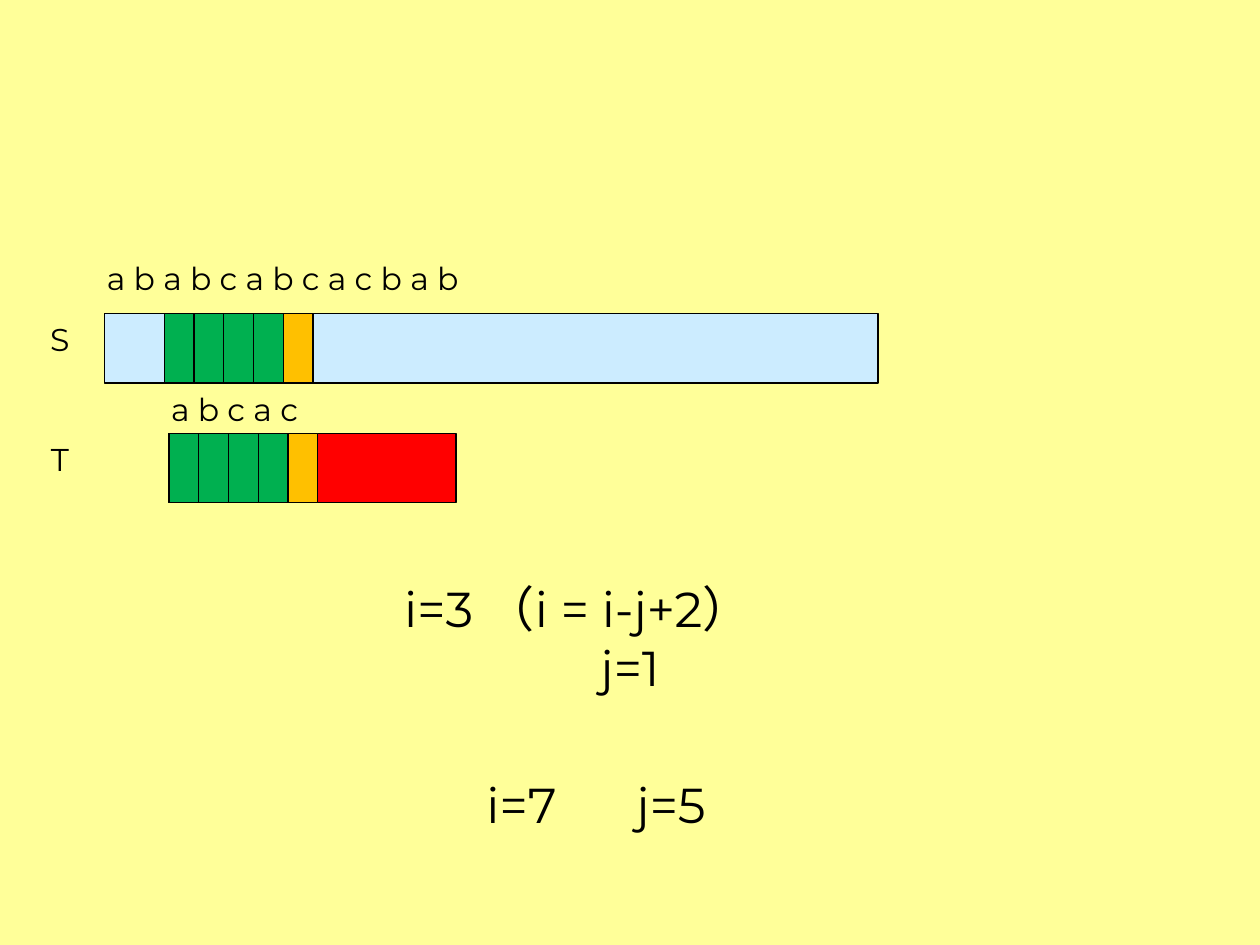
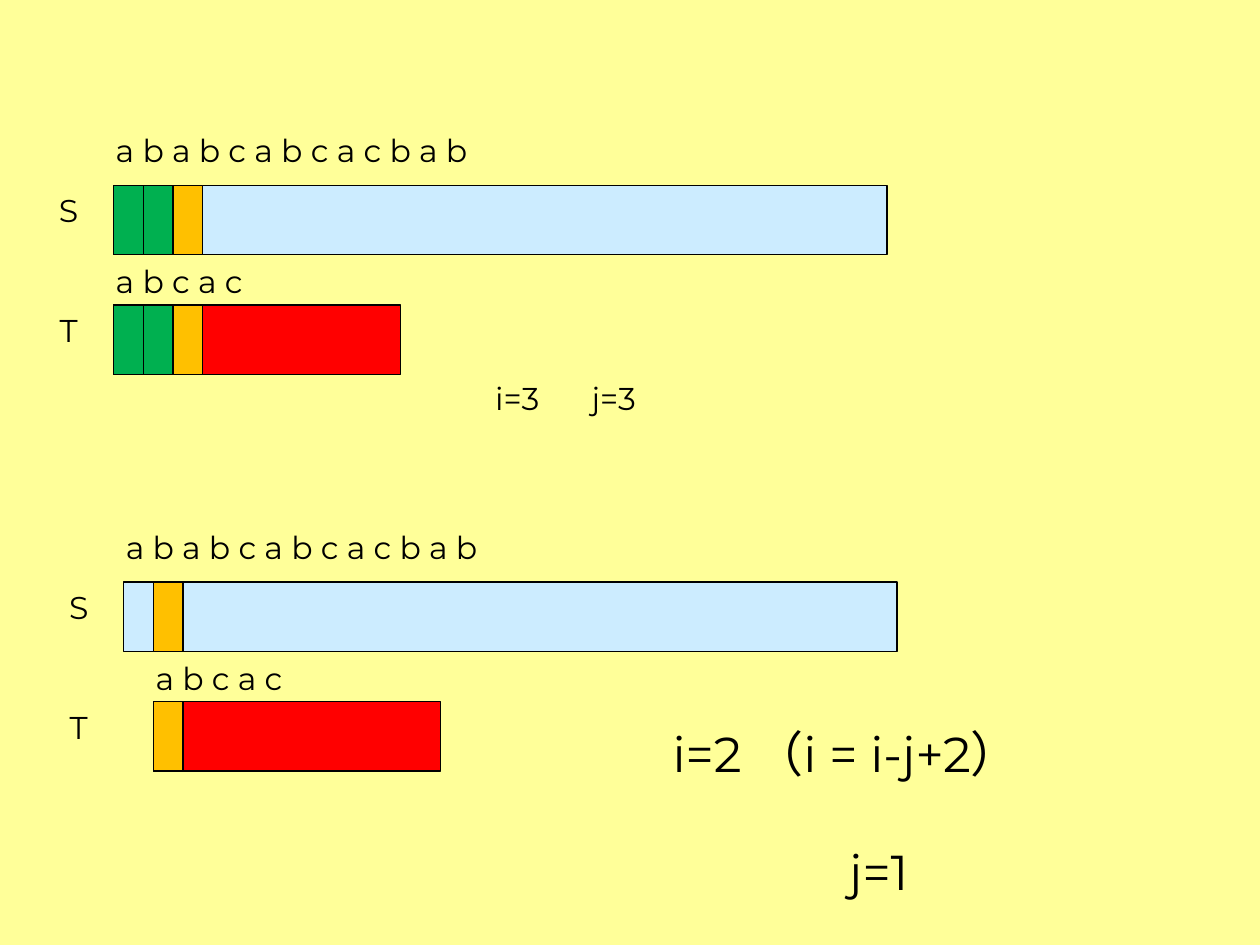
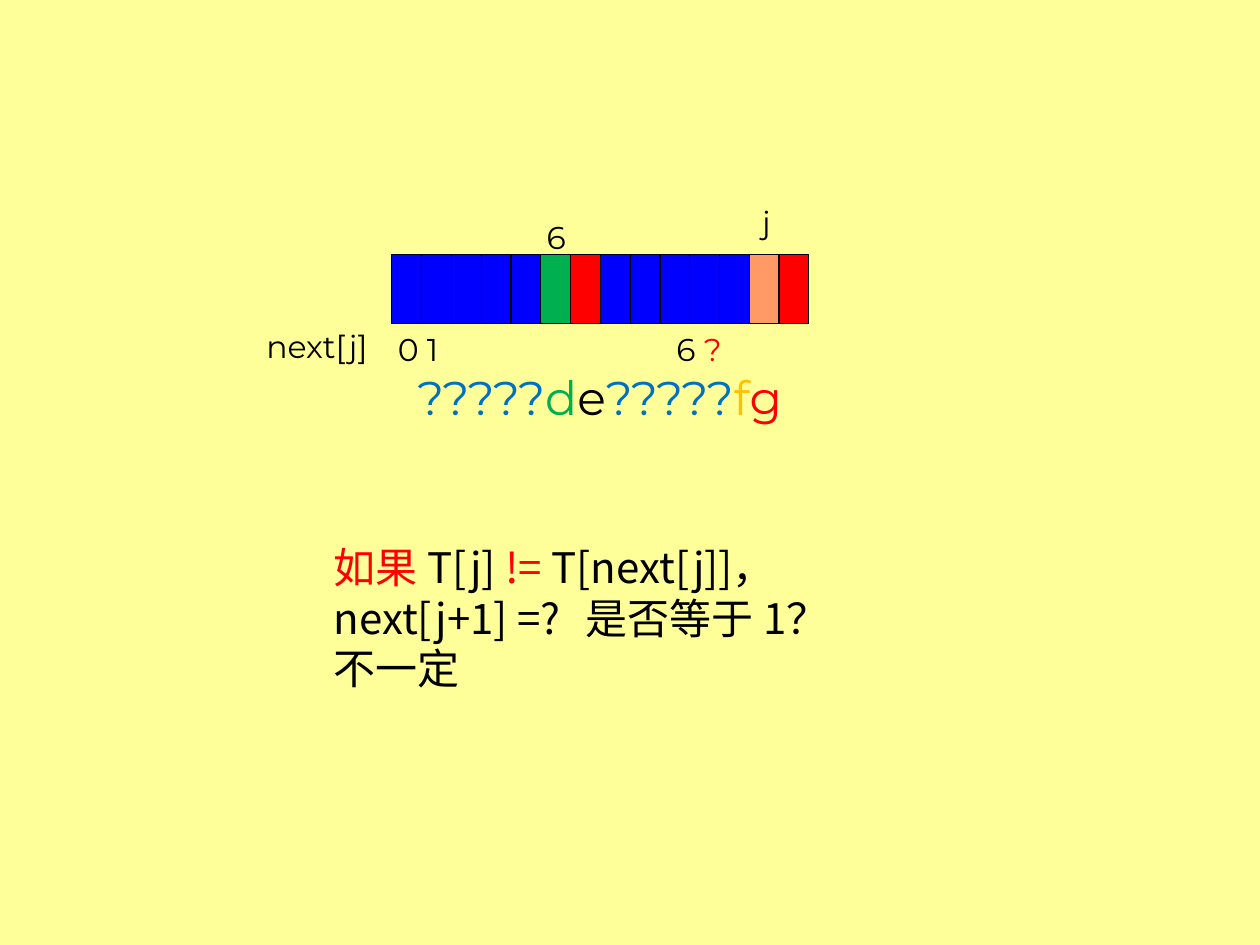
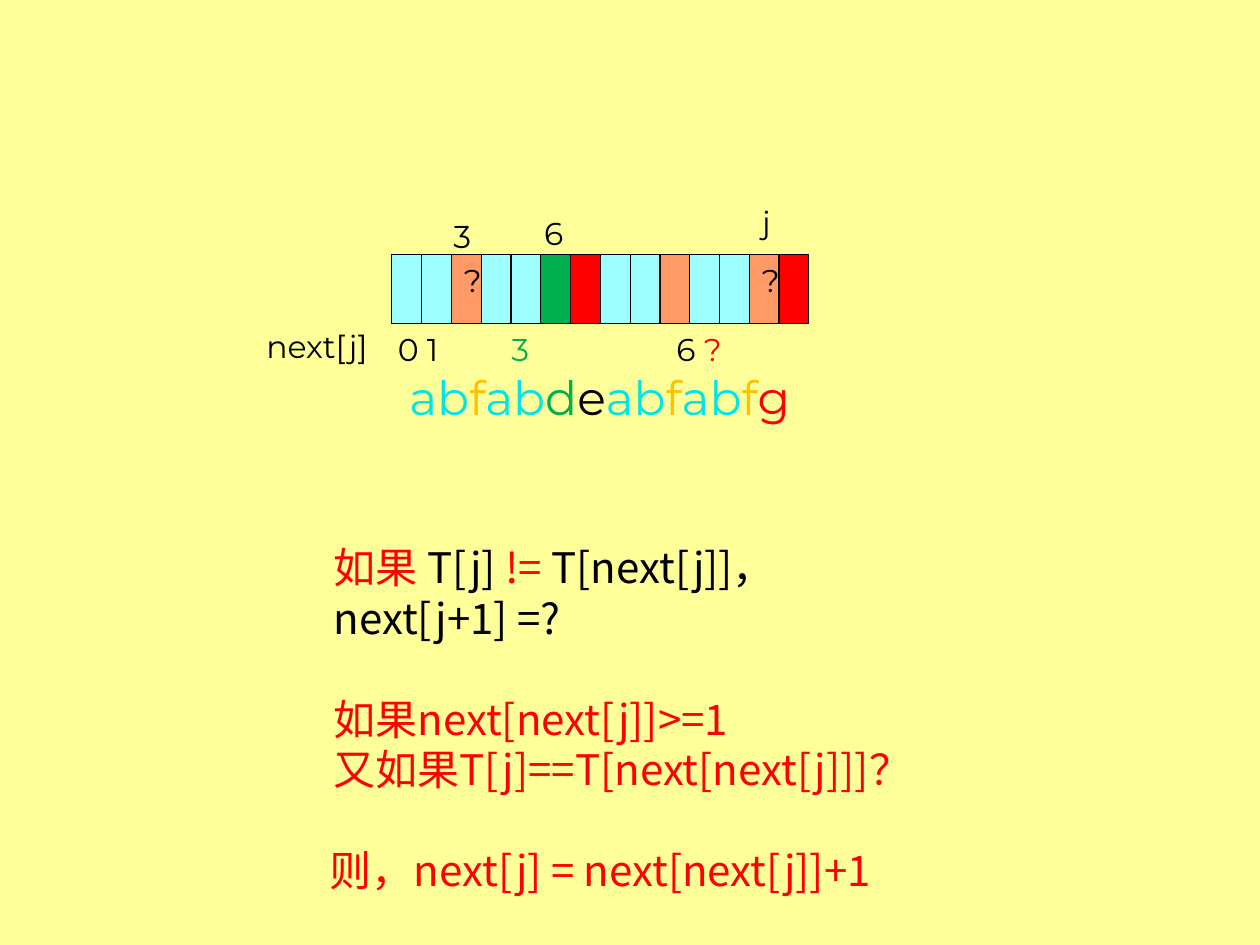
from lxml.etree import SubElement
from pptx import Presentation
from pptx.dml.color import RGBColor
from pptx.enum.shapes import MSO_SHAPE
from pptx.enum.text import MSO_ANCHOR, MSO_AUTO_SIZE, PP_ALIGN
from pptx.oxml.ns import qn
from pptx.util import Inches, Pt

PAGE = RGBColor(0xFF, 0xFF, 0x99)
BLACK = RGBColor(0x00, 0x00, 0x00)
RED = RGBColor(0xFF, 0x00, 0x00)
GREEN = RGBColor(0x00, 0xB0, 0x50)
AMBER = RGBColor(0xFF, 0xC0, 0x00)
PALE_BLUE = RGBColor(0xCC, 0xEC, 0xFF)
DEEP_BLUE = RGBColor(0x00, 0x00, 0xFF)
TEXT_BLUE = RGBColor(0x00, 0x70, 0xC0)
AQUA = RGBColor(0x9E, 0xFF, 0xFF)
TEXT_AQUA = RGBColor(0x00, 0xE5, 0xE6)
ORANGE = RGBColor(0xFF, 0x99, 0x66)

LATIN = "Montserrat"
CHINESE = "Noto Sans CJK SC"
CENTER, LEFT = PP_ALIGN.CENTER, PP_ALIGN.LEFT

STRIP_CELLS = 14
STRIP_WIDTH = 3.31
CELL = STRIP_WIDTH / STRIP_CELLS
BAR_HEIGHT = 0.55
LINE_HEIGHT = 0.4


def write(frame, paragraphs, size=18, font=LATIN, align=LEFT, first_align=None,
          gaps=None, tabs=()):
    """Fill a frame; a paragraph is a list of (text, colour) runs, gaps maps its index to points."""
    frame.word_wrap = True
    frame.vertical_anchor = MSO_ANCHOR.TOP
    for index, runs in enumerate(paragraphs):
        paragraph = frame.paragraphs[0] if index == 0 else frame.add_paragraph()
        if tabs:
            stops = SubElement(paragraph._p.get_or_add_pPr(), qn("a:tabLst"))
            for position in tabs:
                SubElement(stops, qn("a:tab"), pos=str(Inches(position)), algn="l")
        paragraph.alignment = first_align if index == 0 and first_align else align
        if gaps and index in gaps:
            paragraph.space_before = Pt(gaps[index])
        for text, color in runs:
            run = paragraph.add_run()
            run.text = text
            run.font.size = Pt(size)
            run.font.color.rgb = color
            run.font.name = font
            SubElement(run._r.get_or_add_rPr(), qn("a:ea"), typeface=CHINESE)


def add_text(slide, left, top, width, height, paragraphs, wrap=True, pad=None, **style):
    if isinstance(paragraphs, str):
        paragraphs = [[(paragraphs, BLACK)]]
    frame = slide.shapes.add_textbox(
        Inches(left), Inches(top), Inches(width), Inches(height)).text_frame
    write(frame, paragraphs, **style)
    frame.word_wrap = wrap
    frame.auto_size = MSO_AUTO_SIZE.SHAPE_TO_FIT_TEXT
    if pad is not None:
        frame.margin_left = Inches(pad)


def add_bar(slide, left, top, width, fill):
    bar = slide.shapes.add_shape(
        MSO_SHAPE.RECTANGLE, Inches(left), Inches(top), Inches(width), Inches(BAR_HEIGHT))
    bar.shadow.inherit = False
    bar.fill.solid()
    bar.fill.fore_color.rgb = fill
    bar.line.color.rgb = BLACK
    bar.line.width = Pt(0.75)
    return bar


def add_comparison(slide, left, top, pattern_shift, first_cell, matches):
    """Bars S and T with their compared cells: the matches in green, then a mismatch."""
    pattern_left, pattern_top = left + pattern_shift, top + 0.95
    add_bar(slide, left, top, 6.14, PALE_BLUE)
    add_bar(slide, pattern_left, pattern_top, 2.28, RED)
    for label, label_top in (("S", top), ("T", pattern_top)):
        add_text(slide, left - 0.71, label_top, 0.71, LINE_HEIGHT, label, align=CENTER)
    for index, fill in enumerate([GREEN] * matches + [AMBER]):
        add_bar(slide, left + (first_cell + index) * CELL, top, CELL, fill)
        add_bar(slide, pattern_left + index * CELL, pattern_top, CELL, fill)
    for letters, letters_left, letters_top in (
            ("a b a b c a b c a c b a b", left, top - 0.48),
            ("a b c a c", pattern_left, top + 0.56)):
        add_text(slide, letters_left - 0.08, letters_top, 6.22, LINE_HEIGHT, letters)


def add_counters(slide, left, top, height, i, j, size):
    """The two counters, set apart by a tab and centred as a pair in the box."""
    width = 2.59
    add_text(slide, left, top, width, height, f"i={i}\tj={j}", size=size,
             pad=(width - 0.0617 * size) / 2, tabs=[0.0425 * size])


def add_restart(slide, left, top, width, i, gap=0):
    add_text(slide, left, top, width, 1.04,
             [[(f"i={i} （i = i-j+2）", BLACK)], [("j=1", BLACK)]],
             size=28, align=CENTER, first_align=LEFT, gaps={1: gap})


def add_strip(slide, left, top, fills, letters, next_values, tabs, positions, unknown=()):
    """Pattern cells with positions above, next[j] values and letters below."""
    add_bar(slide, left, top, STRIP_WIDTH, RED)
    for index, fill in enumerate(fills):
        if fill != RED:
            cell = add_bar(slide, left + index * CELL, top, CELL, fill)
            if index in unknown:
                write(cell.text_frame, [[("?", BLACK)]], align=CENTER)
    add_text(slide, left - 0.95, top + 0.85, 5.2, 0.56, [letters], size=27, align=CENTER)
    add_text(slide, left + 2.84, top - 0.46, 0.29, LINE_HEIGHT, "j", wrap=False)
    add_text(slide, left - 0.05, top + 0.55, 5.12, LINE_HEIGHT, [next_values], tabs=tabs)
    add_text(slide, left - 1.14, top + 0.53, 1.09, LINE_HEIGHT, "next[j]",
             wrap=False, align=CENTER)
    for position, dx, dy in positions:
        add_text(slide, left + dx, top + dy, 0.74, LINE_HEIGHT, position)


def add_question(slide, height, following, gaps=None):
    condition = [("如果 ", RED), ("T[j] ", BLACK), ("!=", RED), (" T[next[j]]，", BLACK)]
    add_text(slide, 2.55, 4.25, 5.61, height, [condition] + following,
             size=24, font=CHINESE, gaps=gaps)


def build_third_attempt(slide):
    add_comparison(slide, 0.83, 2.49, pattern_shift=0.51, first_cell=2, matches=4)
    add_restart(slide, 3.11, 4.54, 3.78, i=3)
    add_counters(slide, 3.43, 6.1, 0.57, i=7, j=5, size=28)


def build_first_attempts(slide):
    add_comparison(slide, 0.98, 4.62, pattern_shift=CELL, first_cell=1, matches=0)
    add_restart(slide, 5.24, 5.69, 3.47, i=2, gap=34)
    add_comparison(slide, 0.9, 1.47, pattern_shift=0, first_cell=0, matches=2)
    add_counters(slide, 3.19, 2.96, LINE_HEIGHT, i=3, j=3, size=18)


def build_next_question(slide):
    prefix = [DEEP_BLUE] * 5
    unknown = ("?????", TEXT_BLUE)
    add_strip(slide, 3.11, 2.02,
              fills=prefix + [GREEN, RED] + prefix + [ORANGE, RED],
              letters=[unknown, ("d", GREEN), ("e", BLACK), unknown,
                       ("f", AMBER), ("g", RED)],
              next_values=[("0 1\t6 ", BLACK), ("?", RED)], tabs=[2.21],
              positions=[("6", 1.13, -0.34)])
    add_question(slide, 1.31, [[("next[j+1] =?   是否等于 1？".replace("   ", "\t"), BLACK)],
                               [("不一定", BLACK)]])


def build_next_answer(slide):
    prefix = [AQUA, AQUA, ORANGE, AQUA, AQUA]
    ab, f = ("ab", TEXT_AQUA), ("f", AMBER)
    add_strip(slide, 3.11, 2.02,
              fills=prefix + [GREEN, RED] + prefix + [ORANGE, RED],
              letters=[ab, f, ab, ("d", GREEN), ("e", BLACK), ab, f, ab, f, ("g", RED)],
              next_values=[("0 1\t", BLACK), ("3", GREEN), ("\t6 ", BLACK), ("?", RED)],
              tabs=[0.9, 2.21],
              positions=[("6", 1.11, -0.37), ("3", 0.39, -0.35)], unknown=(2, 12))
    add_question(slide, 2.12, [[("next[j+1] =?", BLACK)],
                               [("如果next[next[j]]>=1", RED)],
                               [("又如果T[j]==T[next[next[j]]]？", RED)]], gaps={2: 29})
    add_text(slide, 2.52, 6.65, 5.91, 0.5, [[("则，next[j] = next[next[j]]+1", RED)]],
             size=24, font=CHINESE)


def main():
    deck = Presentation()
    deck.slide_width, deck.slide_height = Inches(10), Inches(7.5)
    background = deck.slide_master.background.fill
    background.solid()
    background.fore_color.rgb = PAGE
    blank = deck.slide_layouts[6]
    for build in (build_third_attempt, build_first_attempts,
                  build_next_question, build_next_answer):
        build(deck.slides.add_slide(blank))
    deck.save("out.pptx")


if __name__ == "__main__":
    main()
